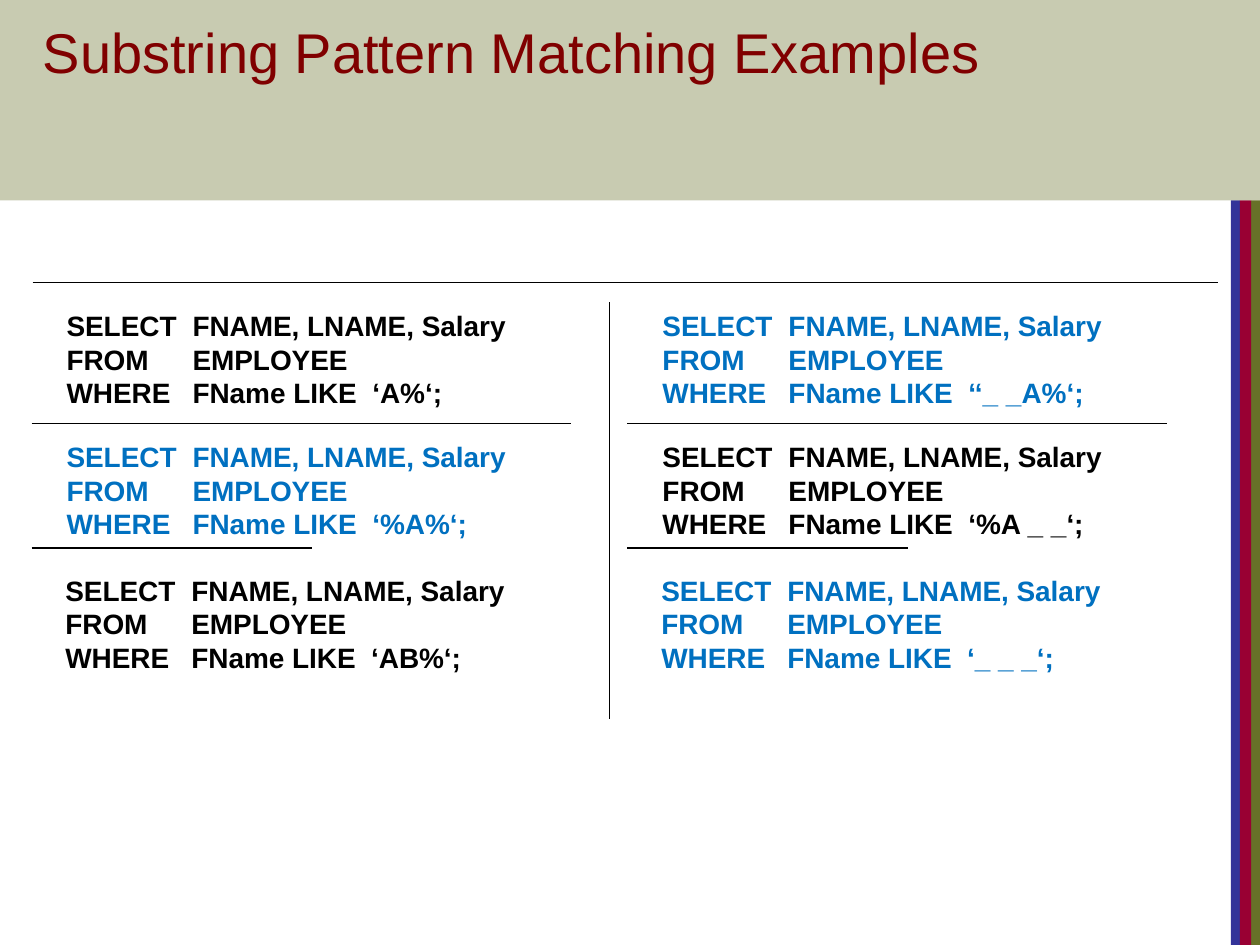
"""Build the slide of SQL substring pattern matching examples."""
from dataclasses import dataclass

from lxml import etree
from pptx import Presentation
from pptx.dml.color import RGBColor
from pptx.enum.shapes import MSO_CONNECTOR, MSO_SHAPE
from pptx.enum.text import MSO_ANCHOR, MSO_AUTO_SIZE, PP_ALIGN
from pptx.oxml.ns import qn
from pptx.util import Inches, Pt


@dataclass(frozen=True)
class Theme:
    font: str = "Arial"
    title: RGBColor = RGBColor(0x80, 0x00, 0x00)
    black: RGBColor = RGBColor(0x00, 0x00, 0x00)
    blue: RGBColor = RGBColor(0x00, 0x70, 0xC0)
    olive: RGBColor = RGBColor(0x67, 0x71, 0x28)
    indigo: RGBColor = RGBColor(0x33, 0x33, 0x99)
    crimson: RGBColor = RGBColor(0x99, 0x00, 0x33)
    title_size: Pt = Pt(32)
    query_size: Pt = Pt(16)
    rule_width: Pt = Pt(0.75)


theme = Theme()


def add_block(s, x, y, w, h, color):
    sp = s.shapes.add_shape(MSO_SHAPE.RECTANGLE, Inches(x), Inches(y), Inches(w), Inches(h))
    sp.shadow.inherit = False
    sp.fill.solid()
    sp.fill.fore_color.rgb = color
    sp.line.fill.background()
    return sp


def add_rule(s, x1, y1, x2, y2):
    ln = s.shapes.add_connector(
        MSO_CONNECTOR.STRAIGHT, Inches(x1), Inches(y1), Inches(x2), Inches(y2))
    ln.line.color.rgb = theme.black
    ln.line.width = theme.rule_width
    etree.SubElement(ln._element.spPr, qn("a:effectLst"))


prs = Presentation()
prs.slide_width, prs.slide_height = Inches(10), Inches(7.5)
s = prs.slides.add_slide(prs.slide_layouts[5])

band_h = 1.59
for x, w, color in ((9.93, 0.07, theme.olive), (9.77, 0.07, theme.indigo),
                    (9.84, 0.09, theme.crimson)):
    add_block(s, x, band_h, w, 7.5 - band_h, color)
band = add_block(s, 0, 0, 10, band_h, theme.olive)
band_color = band._element.spPr.find(qn("a:solidFill")).find(qn("a:srgbClr"))
etree.SubElement(band_color, qn("a:alpha"), val="36000")

title = s.shapes.title
s.shapes._spTree.append(title._element)
title.left, title.top, title.width, title.height = map(Inches, (0.34, 0.14, 9.33, 0.54))
tf = title.text_frame
tf.text = "Substring Pattern Matching Examples"
tf.margin_left = tf.margin_top = tf.margin_right = tf.margin_bottom = 0
tf.vertical_anchor = MSO_ANCHOR.TOP
tf.auto_size = MSO_AUTO_SIZE.SHAPE_TO_FIT_TEXT
tf.word_wrap = True
p = tf.paragraphs[0]
p.alignment = PP_ALIGN.LEFT
font = p.runs[0].font
font.name, font.size, font.color.rgb = theme.font, theme.title_size, theme.title

add_rule(s, 0.26, 2.24, 9.67, 2.24)
add_rule(s, 4.84, 2.4, 4.84, 5.71)

columns = (
    (0.25, ("‘A%‘", "‘%A%‘", "‘AB%‘")),
    (4.98, ("‘‘_ _A%‘", "‘%A _ _‘", "‘_ _ _‘")),
)
rows = ((0.18, 2.4, 4.17), (0.18, 3.44, 4.1), (0.17, 4.5, 4.19))
for col, (left, patterns) in enumerate(columns):
    for row, (pattern, (indent, y, w)) in enumerate(zip(patterns, rows)):
        box = s.shapes.add_textbox(Inches(left + indent), Inches(y), Inches(w), Inches(0.91))
        tf = box.text_frame
        tf.word_wrap = True
        tf.auto_size = MSO_AUTO_SIZE.SHAPE_TO_FIT_TEXT
        p = tf.paragraphs[0]
        p.text = ("SELECT \tFNAME, LNAME, Salary\nFROM\tEMPLOYEE\n"
                  f"WHERE\tFName LIKE  {pattern};")
        for r in p.runs:
            r.font.name, r.font.size, r.font.bold = theme.font, theme.query_size, True
            r.font.color.rgb = theme.blue if (col + row) % 2 else theme.black
    for y, length in ((3.36, 4.28), (4.35, 2.23)):
        add_rule(s, left, y, left + length, y)

prs.save("out.pptx")
